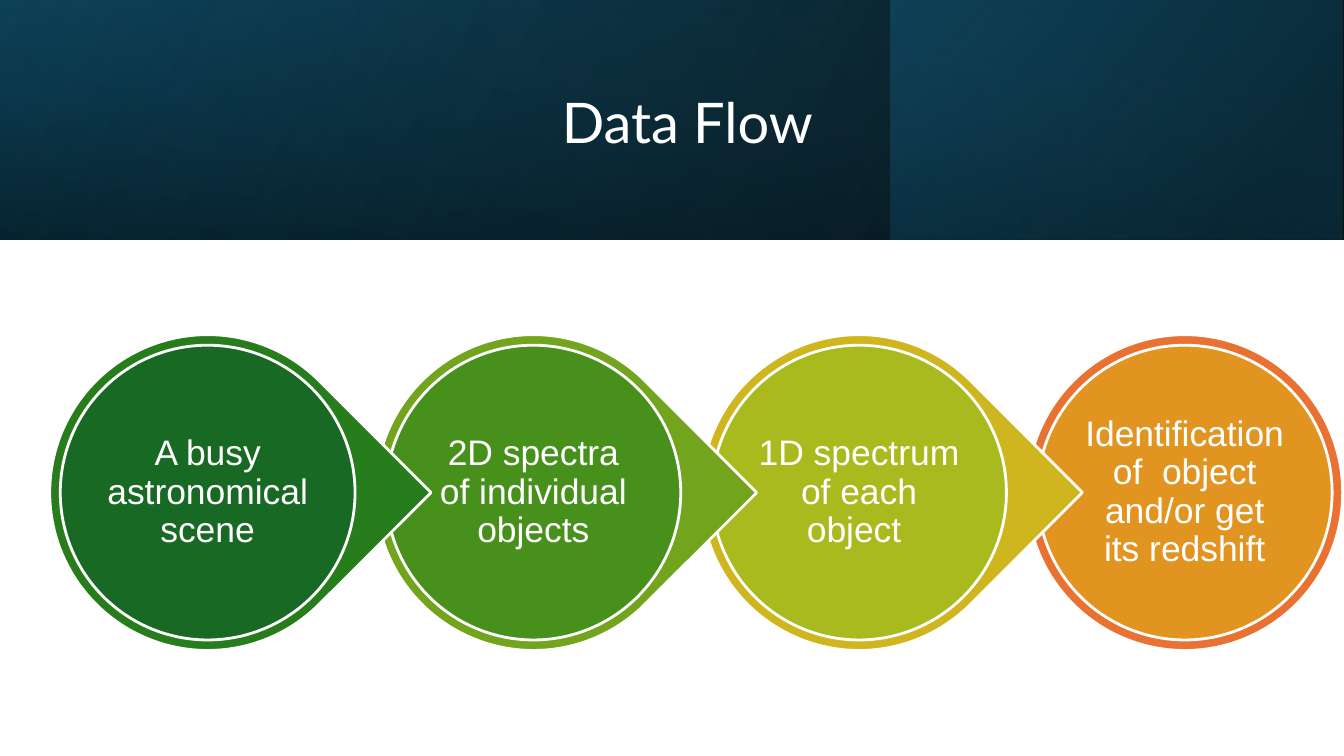
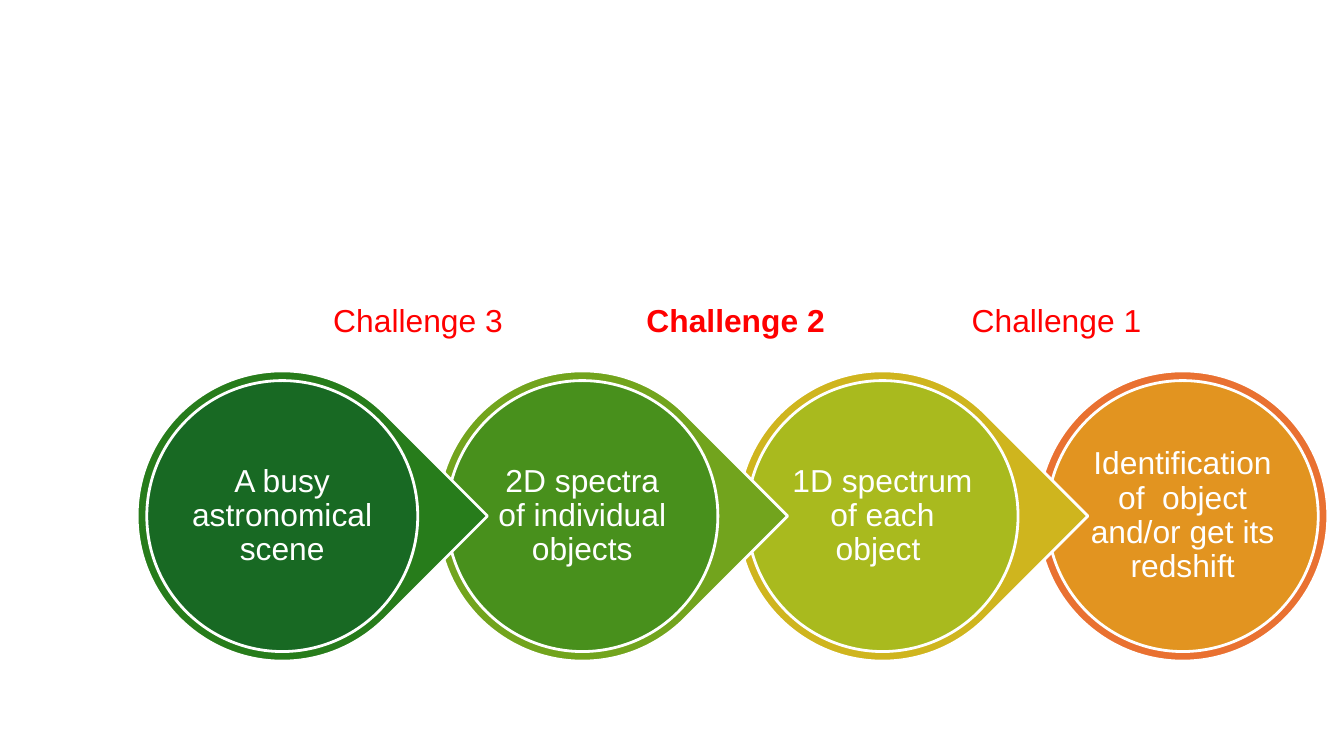
from dataclasses import dataclass

from lxml.etree import SubElement
from pptx import Presentation
from pptx.dml.color import RGBColor
from pptx.enum.shapes import MSO_SHAPE
from pptx.enum.text import MSO_ANCHOR, MSO_AUTO_SIZE, PP_ALIGN
from pptx.oxml.ns import qn
from pptx.util import Pt

PX = 9144  # one px is a hundredth of an inch
PAGE_WIDTH = 1000 * PX
PAGE_HEIGHT = PAGE_WIDTH * 9 // 16


@dataclass(frozen=True)
class Theme:
    white: str = "FFFFFF"
    challenge: str = "FF0000"
    body_font: str = "Arial"
    title_font: str = "Lato"
    title_size: int = 30
    large_size: int = 19
    small_size: int = 17
    outline: float = 1.5
    spacing: float = 0.9


THEME = Theme()

# Wording, outer colour, inner colour
STAGES = [
    ("A busy astronomical scene", "277C1B", "186923"),
    ("2D spectra of individual objects", "72A41D", "48901C"),
    ("1D spectrum of each object ", "CFB51E", "A9BA1E"),
    ("Identification of  object and/or get its redshift", "E97131", "E29420"),
]

# Box, rotation, gradient angle, stops as (position, colour, opacity)
BAND_LAYERS = [
    ((0, 0, 1000, 178), 0, 330, [(0, "000000", 96), (100, "0F4861", 100)]),
    ((663, 0, 336, 178), 0, 320,
     [(0, "0A3041", 68), (19, "0A3041", 68), (100, "156082", 48)]),
    ((411, -411, 178, 1000), 270, 350,
     [(0, "0F4861", 16), (23, "0F4861", 16), (99, "000000", 45), (100, "000000", 45)]),
]

# Wording, left, width, bold
CHALLENGES = [
    ("Challenge 3", 241, 223, False),
    ("Challenge 1", 716, 223, False),
    ("Challenge 2", 474, 232, True),
]


def emu(box):
    return [round(length * PX) for length in box]


def apply_format(target, values):
    for name, value in values.items():
        setattr(target, name, value)


def add_shape(shapes, kind, box):
    shape = shapes.add_shape(kind, *emu(box))
    shape.shadow.inherit = False
    return shape


def add_text(shapes, box, text, font, frame_format, para_format, color=THEME.white):
    frame = shapes.add_textbox(*emu(box)).text_frame
    apply_format(frame, {"word_wrap": True, **frame_format})
    para = frame.paragraphs[0]
    apply_format(para, para_format)
    span = para.add_run()
    span.text = text
    apply_format(span.font, font)
    span.font.color.rgb = RGBColor.from_string(color)


def margins(side, end):
    return {"margin_left": side * PX, "margin_right": side * PX,
            "margin_top": end * PX, "margin_bottom": end * PX}


def set_gradient(shape, angle, stops):
    properties = shape.element.spPr
    gradient = SubElement(properties, qn("a:gradFill"), rotWithShape="1")
    properties.find(qn("a:prstGeom")).addnext(gradient)
    stop_list = SubElement(gradient, qn("a:gsLst"))
    for position, color, opacity in stops:
        stop = SubElement(stop_list, qn("a:gs"), pos=str(position * 1000))
        paint = SubElement(stop, qn("a:srgbClr"), val=color)
        SubElement(paint, qn("a:alpha"), val=str(opacity * 1000))
    SubElement(gradient, qn("a:lin"), ang=str(angle * 60000), scaled="0")


def add_title_band(page, box, title):
    """Layered gradient band with a centred title."""
    left, top, width, height = box
    for (x, y, layer_width, layer_height), rotation, angle, stops in BAND_LAYERS:
        layer = add_shape(page.shapes, MSO_SHAPE.RECTANGLE,
                          (left + x, top + y, layer_width, layer_height))
        layer.line.fill.background()
        layer.rotation = rotation
        layer.element.spPr.xfrm.set("flipH", "1")
        set_gradient(layer, angle, stops)
    add_text(page.shapes, (left + 113, top + 29, width - 203, height - 49), title,
             {"name": THEME.title_font, "size": Pt(THEME.title_size)},
             {"vertical_anchor": MSO_ANCHOR.MIDDLE, **margins(7, 4)},
             {"alignment": PP_ALIGN.CENTER, "line_spacing": THEME.spacing})


def add_flow(page, box, text_size, margin):
    """Row of overlapping stages; each one but the last points to the next."""
    left, top, width, size = box
    pitch = (width - size) / (len(STAGES) - 1)
    shapes = page.shapes.add_group_shape().shapes
    # The rightmost stage lies at the back
    for index, (text, outer, inner) in reversed(list(enumerate(STAGES))):
        x = left + index * pitch
        is_last = index == len(STAGES) - 1
        outer_kind = MSO_SHAPE.OVAL if is_last else MSO_SHAPE.TEAR
        for kind, inset, color in ((outer_kind, 0, outer),
                                   (MSO_SHAPE.OVAL, size / 30, inner)):
            disc = add_shape(shapes, kind,
                             (x + inset, top + inset, size - 2 * inset, size - 2 * inset))
            disc.fill.solid()
            disc.fill.fore_color.rgb = RGBColor.from_string(color)
            disc.line.color.rgb = RGBColor.from_string(THEME.white)
            disc.line.width = Pt(THEME.outline)
            if kind == MSO_SHAPE.TEAR:
                disc.rotation = 45
        add_text(shapes, (x + size / 6, top + size / 6, size * 2 / 3, size * 2 / 3), text,
                 {"name": THEME.body_font, "size": Pt(text_size)},
                 {"vertical_anchor": MSO_ANCHOR.MIDDLE, **margins(margin, margin)},
                 {"alignment": PP_ALIGN.CENTER, "line_spacing": THEME.spacing})


def add_challenges(page, top, height):
    """Labels above the steps between stages."""
    for text, left, width, bold in CHALLENGES:
        add_text(page.shapes, (left, top, width, height), text,
                 {"name": THEME.body_font, "size": Pt(THEME.small_size), "bold": bold},
                 {"auto_size": MSO_AUTO_SIZE.SHAPE_TO_FIT_TEXT, **margins(7, 4)},
                 {"alignment": PP_ALIGN.LEFT}, THEME.challenge)


def build_data_flow(page):
    add_title_band(page, (0, 0, 1000, 178), "Data Flow")
    add_flow(page, (37, 249, 962, 235), THEME.large_size, 3)


def build_challenges(page):
    add_flow(page, (102, 276, 886, 216), THEME.small_size, 2)
    add_challenges(page, 220, 36)


def main():
    deck = Presentation()
    apply_format(deck, {"slide_width": PAGE_WIDTH, "slide_height": PAGE_HEIGHT})
    for build in (build_data_flow, build_challenges):
        build(deck.slides.add_slide(deck.slide_layouts[6]))
    deck.save("out.pptx")


if __name__ == "__main__":
    main()
